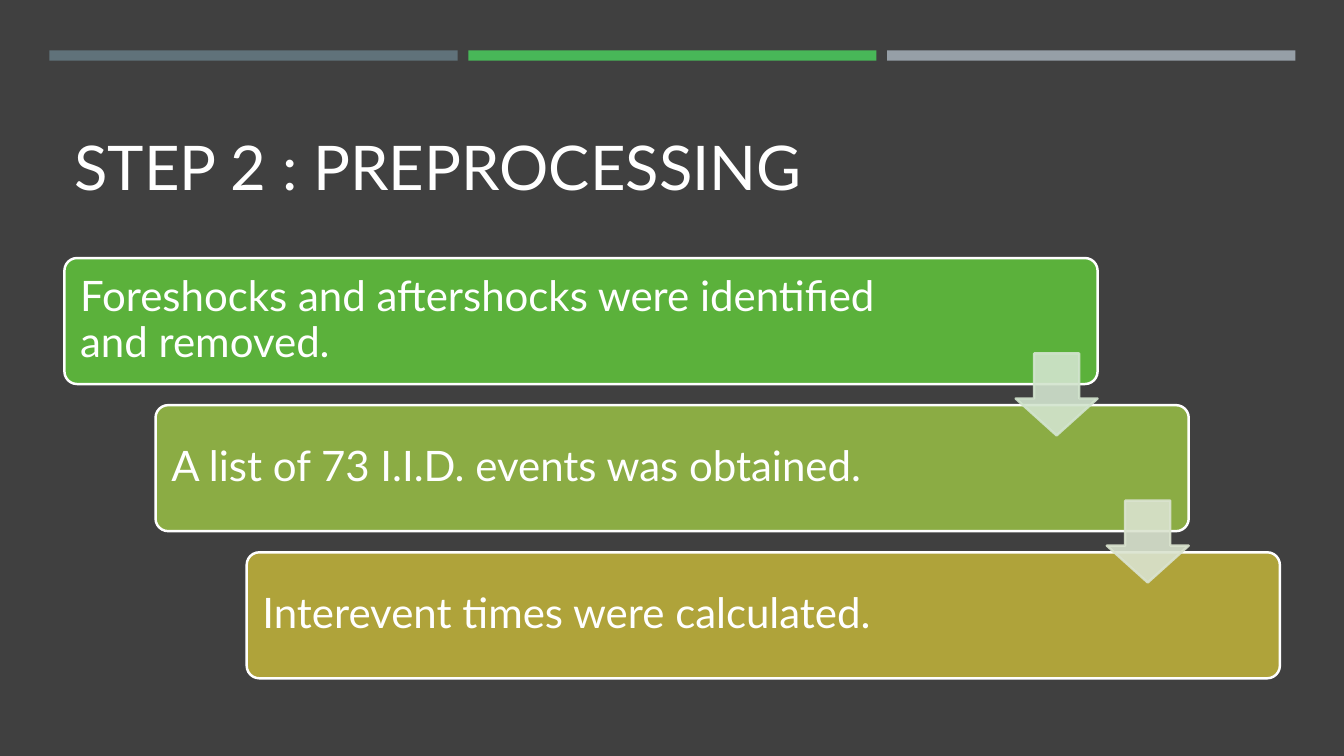
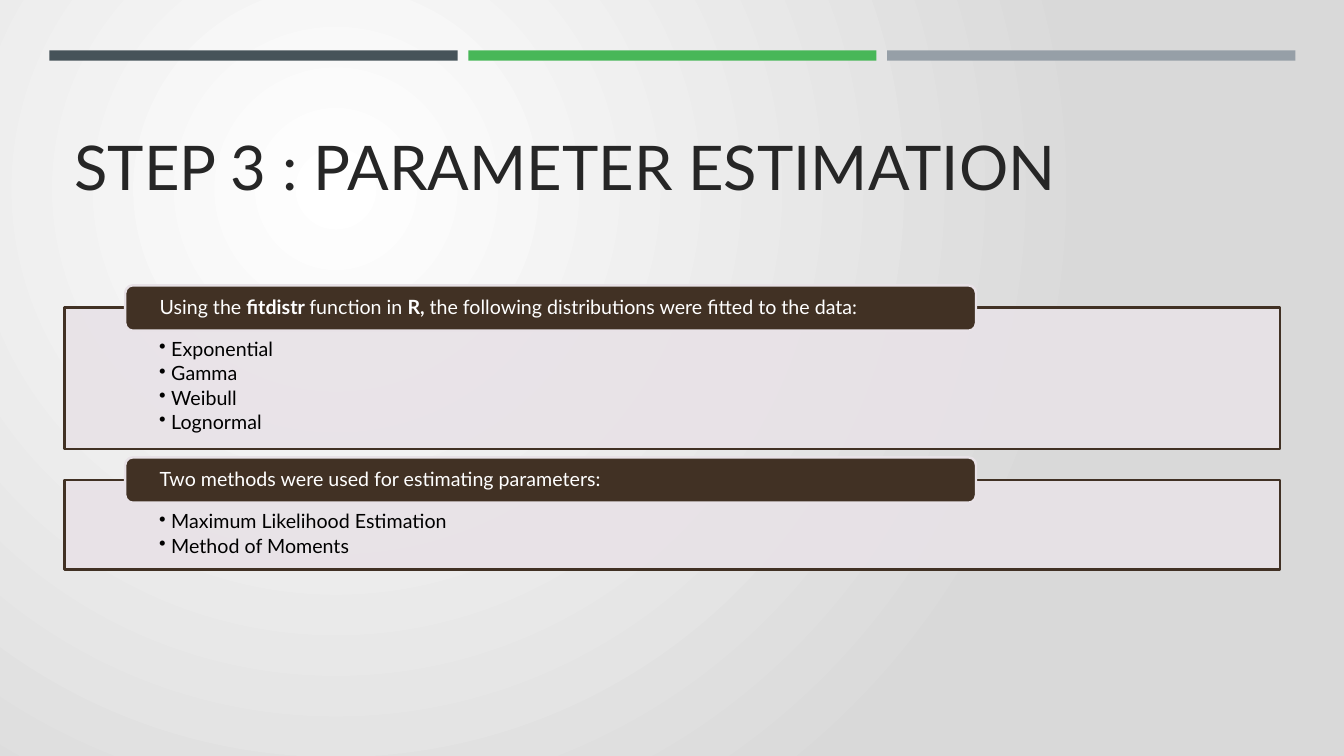
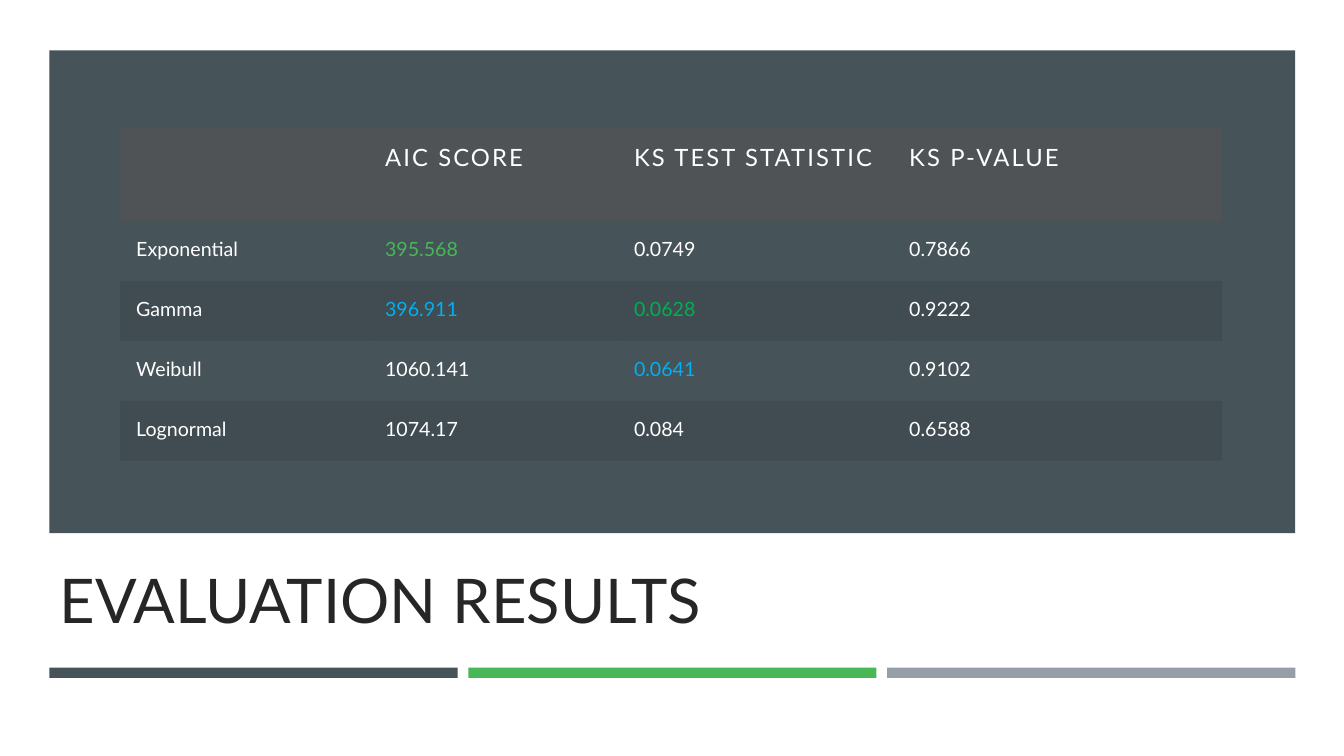
from dataclasses import dataclass

from lxml import etree
from pptx import Presentation
from pptx.dml.color import RGBColor
from pptx.enum.shapes import MSO_SHAPE
from pptx.enum.text import MSO_ANCHOR, MSO_AUTO_SIZE, PP_ALIGN
from pptx.oxml.ns import qn
from pptx.util import Pt

RECT, ROUND, DOWN = MSO_SHAPE.RECTANGLE, MSO_SHAPE.ROUNDED_RECTANGLE, MSO_SHAPE.DOWN_ARROW
TOP, MIDDLE, BOTTOM = MSO_ANCHOR.TOP, MSO_ANCHOR.MIDDLE, MSO_ANCHOR.BOTTOM
LEFT, NO_FIT = PP_ALIGN.LEFT, MSO_AUTO_SIZE.NONE

FONT = "Lato"
WHITE, BLACK, INK = "FFFFFF", "000000", "262626"
CHARCOAL, SLATE, GREEN, GREY = "404040", "465359", "48B758", "969FA7"
BLUE, DEEP_GREEN = "00B0F0", "00B050"
BROWN, LILAC, HEADER_FILL = "413124", "E8E2E7", "505356"
LINE_WIDTH = 1.75
NO_STYLE_TABLE = "{2D5ABB26-0587-4C30-8999-92F81FD0307C}"


@dataclass(frozen=True)
class Box:
    x: float
    y: float
    w: float
    h: float

    def emu(self) -> tuple:
        return Pt(self.x), Pt(self.y), Pt(self.w), Pt(self.h)


@dataclass(frozen=True)
class Step:
    text: str
    fill: str
    arrow: str = ""


@dataclass(frozen=True)
class Panel:
    y: float
    h: float
    header: tuple
    bullets: tuple


TITLE_TOP = Box(46, 55.4, 868.3, 93.6)
TITLE_LOW = Box(35.3, 393.8, 889.2, 74.9)

STEPS = (
    Step("Foreshocks and aftershocks were identified and removed.", "5BB13B", "D2E4CE"),
    Step("A list of 73\u00a0I.I.D. events was obtained.".replace("\u00a0", " "), "8BAC44", "DAE3CF"),
    Step("Interevent times were calculated.", "AFA33A"),
)

PANELS = (
    Panel(219.8, 100.8,
          ("Using the ", "*fitdistr ", "function in ", "*R, ",
           "the following distributions were fitted to the data:"),
          ("Exponential", "Gamma", "Weibull", "Lognormal")),
    Panel(342.7, 64.1,
          ("Two methods were used for estimating parameters:",),
          ("Maximum Likelihood Estimation", "Method of Moments")),
)

COL_WIDTHS = (177.8, 177.8, 196.6, 235)
ROW_HEIGHTS = (67, 42.8, 42.8, 42.8, 42.8)
RESULTS = (
    ("", "AIC SCORE", "KS TEST STATISTIC", "KS P-VALUE"),
    ("Exponential", "395.568", "0.0749", "0.7866"),
    ("Gamma", "396.911", "0.0628", "0.9222"),
    ("Weibull", "1060.141", "0.0641", "0.9102"),
    ("Lognormal", "1074.17", "0.084", "0.6588"),
)
HIGHLIGHTS = {(1, 1): GREEN, (2, 1): BLUE, (2, 2): DEEP_GREEN, (3, 2): BLUE}


def rgb(color: str) -> RGBColor:
    return RGBColor.from_string(color)


def paint(fill, color: str) -> None:
    fill.solid()
    fill.fore_color.rgb = rgb(color)


def fade(element, percent: int) -> None:
    for clr in element.iter(qn("a:srgbClr")):
        etree.SubElement(clr, qn("a:alpha")).set("val", str(percent * 1000))


def add_box(s, kind, box: Box, color: str, line: str = ""):
    sp = s.shapes.add_shape(kind, *box.emu())
    sp.shadow.inherit = False
    paint(sp.fill, color)
    if line:
        sp.line.color.rgb = rgb(line)
        sp.line.width = Pt(LINE_WIDTH)
    else:
        sp.line.fill.background()
    return sp


def set_frame(tf, anchor, insets: tuple) -> None:
    tf.word_wrap = True
    tf.vertical_anchor = anchor
    tf.margin_left, tf.margin_top, tf.margin_right, tf.margin_bottom = map(Pt, insets)


def style(p, size: float, color: str, spacing: float = 0.9, after: float = 0) -> None:
    p.alignment = LEFT
    p.line_spacing = spacing
    p.space_after = Pt(after)
    p.font.name = FONT
    p.font.size = Pt(size)
    p.font.color.rgb = rgb(color)


def set_bullet(p) -> None:
    pPr = p._p.get_or_add_pPr()
    pPr.set("marL", str(Pt(8.64)))
    pPr.set("indent", str(-Pt(8.64)))
    bullet = etree.Element(qn("a:buChar"), char="•")
    pPr.find(qn("a:defRPr")).addprevious(bullet)


def add_bands(s, y: float, first: str) -> None:
    for i, color in enumerate((first, GREEN, GREY)):
        add_box(s, RECT, Box(35.3 + 299.2 * i, y, 291.6, 7.4), color)


def add_slide(prs, title: str, box: Box, color: str, anchor):
    s = prs.slides.add_slide(prs.slide_layouts[5])
    sp = s.shapes.title
    sp.left, sp.top, sp.width, sp.height = box.emu()
    tf = sp.text_frame
    tf.text = title
    tf.auto_size = NO_FIT
    set_frame(tf, anchor, (7.2, 3.6, 7.2, 3.6))
    style(tf.paragraphs[0], 44, color)
    return s


def radial_background(s, inner: str, outer: str) -> None:
    fill = s.background.fill
    fill.gradient()
    for stop, color in zip(fill.gradient_stops, (inner, outer)):
        stop.color.rgb = rgb(color)
    lin = s.element.find(".//" + qn("a:lin"))
    circle = etree.Element(qn("a:path"), path="circle")
    etree.SubElement(circle, qn("a:fillToRect"), l="50000", t="50000", r="100000", b="100000")
    lin.getparent().replace(lin, circle)


def preprocessing_slide(prs) -> None:
    s = add_slide(prs, "STEP 2 : PREPROCESSING", TITLE_TOP, WHITE, BOTTOM)
    paint(s.background.fill, CHARCOAL)
    add_bands(s, 36, "60727A")
    boxes = [Box(46 + 65.1 * i, 184.3 + 105.1 * i, 738, 90) for i in range(len(STEPS))]
    for step, box in zip(STEPS, boxes):
        sp = add_box(s, ROUND, box, step.fill, WHITE)
        sp.adjustments[0] = 0.1
        tf = sp.text_frame
        set_frame(tf, MIDDLE, (8.64, 8.64, 101, 8.64))
        tf.text = step.text
        style(tf.paragraphs[0], 30, WHITE)
    side = 58.5
    for step, box in zip(STEPS, boxes):
        if step.arrow:
            arrow = Box(box.x + box.w - side, box.y + 68.2, side, side)
            sp = add_box(s, DOWN, arrow, step.arrow, step.arrow)
            sp.adjustments[0], sp.adjustments[1] = 0.55, 0.45
            fade(sp.element, 90)


def add_panel(s, panel: Panel) -> None:
    sp = add_box(s, RECT, Box(46, panel.y, 868.3, panel.h), LILAC)
    fade(sp.element, 90)
    sp.line.color.rgb = rgb(BROWN)
    sp.line.width = Pt(LINE_WIDTH)
    tf = sp.text_frame
    set_frame(tf, TOP, (67.7, 23, 67.7, 7.9))
    tf.text = "\n".join(panel.bullets)
    for p in tf.paragraphs:
        style(p, 14, BLACK, after=2.1)
        set_bullet(p)

    sp = add_box(s, ROUND, Box(89.5, panel.y - 16, 607.7, 32.4), BROWN, LILAC)
    tf = sp.text_frame
    set_frame(tf, MIDDLE, (23, 0, 23, 0))
    p = tf.paragraphs[0]
    style(p, 14, WHITE)
    for part in panel.header:
        r = p.add_run()
        r.text = part.lstrip("*")
        r.font.bold = part.startswith("*")


def estimation_slide(prs) -> None:
    s = add_slide(prs, "STEP 3 : PARAMETER ESTIMATION", TITLE_TOP, INK, BOTTOM)
    radial_background(s, WHITE, "D9D9D9")
    add_bands(s, 36, SLATE)
    for panel in PANELS:
        add_panel(s, panel)


def fill_cell(cell, row: int, col: int) -> None:
    if row == 0:
        paint(cell.fill, HEADER_FILL)
    elif row % 2 == 0:
        paint(cell.fill, BLACK)
        fade(cell._tc.tcPr, 8)
    else:
        cell.fill.background()
    cell.margin_left = cell.margin_right = cell.margin_top = cell.margin_bottom = Pt(11.5)
    cell.text = RESULTS[row][col]
    p = cell.text_frame.paragraphs[0]
    style(p, 14 if row else 17, HIGHLIGHTS.get((row, col), WHITE), spacing=1.0)
    if row == 0:
        for r in p.runs:
            r._r.get_or_add_rPr().set("spc", "150")


def results_slide(prs) -> None:
    s = add_slide(prs, "EVALUATION RESULTS", TITLE_LOW, INK, MIDDLE)
    paint(s.background.fill, WHITE)
    add_box(s, RECT, Box(35.3, 36, 889.9, 344.9), SLATE)
    add_bands(s, 476.8, SLATE)
    box = Box(85.8, 91, sum(COL_WIDTHS), sum(ROW_HEIGHTS))
    frame = s.shapes.add_table(len(ROW_HEIGHTS), len(COL_WIDTHS), *box.emu())
    frame.element.find(".//" + qn("a:tableStyleId")).text = NO_STYLE_TABLE
    table = frame.table
    table.horz_banding = False
    for column, width in zip(table.columns, COL_WIDTHS):
        column.width = Pt(width)
    for i, height in enumerate(ROW_HEIGHTS):
        table.rows[i].height = Pt(height)
        for j in range(len(COL_WIDTHS)):
            fill_cell(table.cell(i, j), i, j)


def main() -> None:
    prs = Presentation()
    prs.slide_width, prs.slide_height = Pt(960), Pt(540)
    preprocessing_slide(prs)
    estimation_slide(prs)
    results_slide(prs)
    prs.save("out.pptx")


if __name__ == "__main__":
    main()
